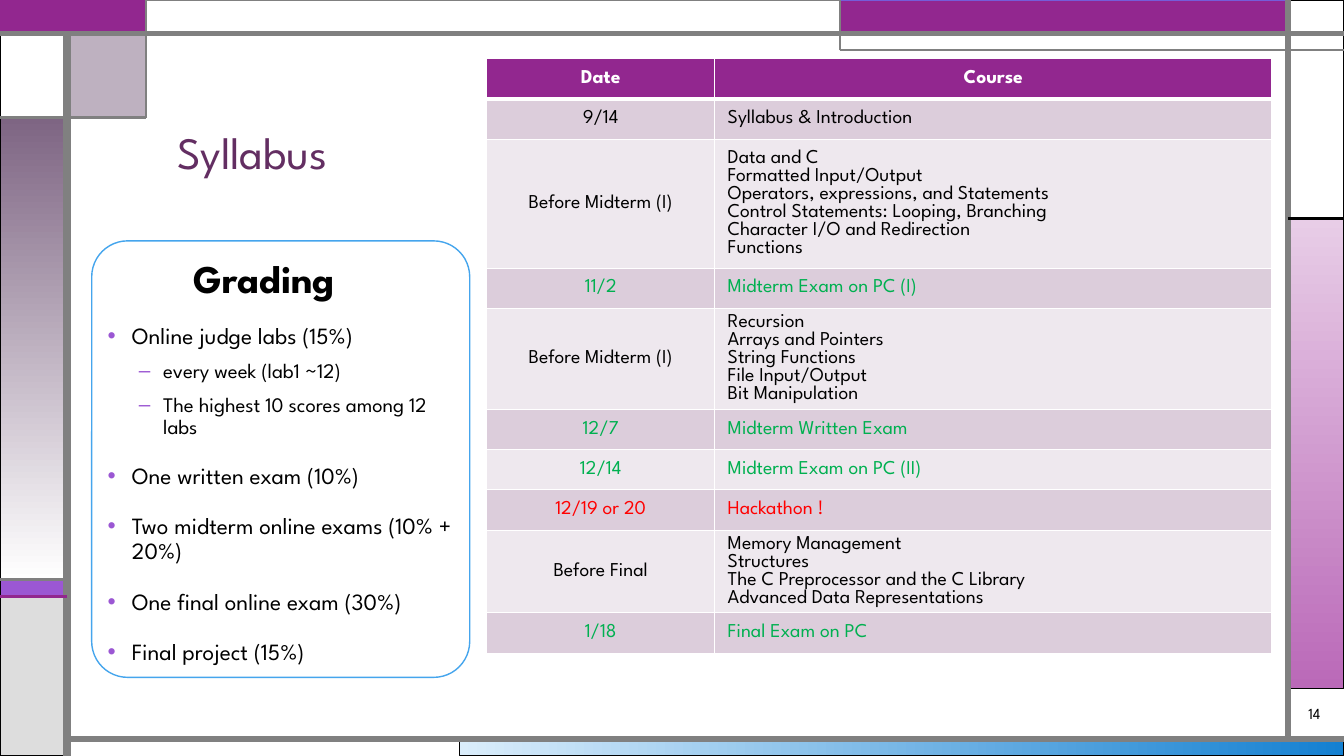
from copy import deepcopy
from lxml import etree
from pptx import Presentation
from pptx import util as u
from pptx.dml.color import RGBColor
from pptx.enum import shapes, text
from pptx.oxml.ns import qn

FONT = "League Spartan"
BLACK = RGBColor(0, 0, 0)
WHITE = RGBColor(255, 255, 255)
GRAY = RGBColor(0x80, 0x80, 0x80)
SILVER = RGBColor(0xDD, 0xDD, 0xDD)
PURPLE = RGBColor(0x92, 0x27, 0x8F)
VIOLET = RGBColor(0x9B, 0x57, 0xD3)
INDIGO = RGBColor(0x75, 0x5D, 0xD9)
MAUVE = RGBColor(0x7E, 0x65, 0x83)
PLUM = RGBColor(0x63, 0x2E, 0x62)
SKY = RGBColor(0x45, 0xA5, 0xED)
ICE = RGBColor(0xDA, 0xED, 0xFB)
BLUE = RGBColor(0x14, 0x80, 0xD1)
PINK = RGBColor(0xE8, 0xCD, 0xE7)
ORCHID = RGBColor(0xBA, 0x69, 0xB8)
DARK = RGBColor(0xDC, 0xCD, 0xDB)
LIGHT = RGBColor(0xEE, 0xE8, 0xEE)
GREEN = RGBColor(0, 0xB0, 0x50)
RED = RGBColor(255, 0, 0)

deck = Presentation()
deck.slide_width, deck.slide_height = u.Inches(40 / 3), u.Inches(7.5)
slide = deck.slides.add_slide(deck.slide_layouts[6])

cols = [deck.slide_width * x // 120 for x in (0, 6, 13, 41, 75, 115, 120)]
rows = [deck.slide_height * y // 90 for y in (0, 4, 6, 14, 26, 69, 71, 82, 88, 90)]


def write(para, words, size, color, bold=False):
    for i, line in enumerate(words.split("\n")):
        if i:
            para.add_line_break()
            para._p[-1].append(deepcopy(run._r.rPr))
        run = para.add_run()
        run.text = line
        run.font.name = FONT
        run.font.size = u.Pt(size)
        run.font.color.rgb = color
        run.font.bold = bold
        for script in ("a:ea", "a:cs"):
            etree.SubElement(run._r.rPr, qn(script), typeface=FONT)


def add_box(left, top, width, height, anchor, wrap=True):
    box = slide.shapes.add_textbox(*[u.Inches(n) for n in (left, top, width, height)])
    frame = box.text_frame
    frame.word_wrap = wrap
    frame.vertical_anchor = anchor
    return frame


panels = [
    (3, 8, 6, 9, (ICE, BLUE), 0, BLACK, 0.75),
    (5, 4, 6, 7, (PINK, ORCHID), 270, BLACK, 0.75),
    (0, 5, 1, 6, VIOLET, 0, BLACK, 0.75),
    (0, 6, 1, 9, SILVER, 0, BLACK, 0.75),
    (5, 0, 6, 4, WHITE, 0, BLACK, 0.75),
    (4, 0, 5, 1, PURPLE, 0, INDIGO, 0.75),
    (1, 1, 2, 3, MAUVE, 0, BLACK, 0.75),
    (0, 3, 1, 5, (MAUVE, WHITE), 270, BLACK, 0.75),
    (0, 1, 1, 3, WHITE, 0, BLACK, 0.75),
    (0, 0, 2, 1, PURPLE, 0, PURPLE, 1.5),
    (2, 0, 4, 1, WHITE, 0, GRAY, 0.75),
]
for c, r, c2, r2, fill, angle, edge, width in panels:
    panel = slide.shapes.add_shape(shapes.MSO_SHAPE.RECTANGLE, cols[c], rows[r],
                                   cols[c2] - cols[c], rows[r2] - rows[r])
    panel.shadow.inherit = False
    if isinstance(fill, RGBColor):
        panel.fill.solid()
        panel.fill.fore_color.rgb = fill
    else:
        panel.fill.gradient()
        panel.fill.gradient_angle = angle
        for stop, color in zip(panel.fill.gradient_stops, fill):
            stop.color.rgb = color
    if fill == MAUVE:
        tint = panel._element.spPr.find(qn("a:solidFill"))[0]
        etree.SubElement(tint, qn("a:alpha"), val="50000")
    panel.line.color.rgb = edge
    panel.line.width = u.Pt(width)

rules = [
    (1, 9, 1, 1, GRAY, 6), (1, 8, 6, 8, GRAY, 4.5), (5, 8, 5, 0, GRAY, 4.5),
    (0, 1, 6, 1, GRAY, 3), (6, 2, 4, 2, GRAY, 1.5), (4, 2, 4, 0, GRAY, 1.5),
    (5, 4, 6, 4, BLACK, 2.25), (2, 0, 2, 3, GRAY, 1.5), (2, 3, 0, 3, GRAY, 2.25),
    (1, 5, 0, 5, GRAY, 2.25), (1, 6, 0, 6, PURPLE, 2.25),
]
for c, r, c2, r2, color, width in rules:
    rule = slide.shapes.add_connector(shapes.MSO_CONNECTOR.STRAIGHT,
                                      cols[c], rows[r], cols[c2], rows[r2])
    rule.line.color.rgb = color
    rule.line.width = u.Pt(width)
    etree.SubElement(rule._element.spPr, qn("a:effectLst"))

card = slide.shapes.add_shape(shapes.MSO_SHAPE.ROUNDED_RECTANGLE, u.Inches(0.91),
                              u.Inches(2.39), u.Inches(3.75), u.Inches(4.33))
card.adjustments[0] = 0.095
card.shadow.inherit = False
card.fill.solid()
card.fill.fore_color.rgb = WHITE
card.line.color.rgb = SKY
card.line.width = u.Pt(1)

title = add_box(1.66, 0.58, 10.5, 1.25, text.MSO_ANCHOR.BOTTOM).paragraphs[0]
title.line_spacing = 0.9
write(title, "Syllabus", 32, PLUM)

plan = [
    (0.4, WHITE, "Date", ["Course"]),
    (0.4, BLACK, "9/14", ["Syllabus & Introduction"]),
    (1.28, BLACK, "Before Midterm (I)", [
        "Data and C\nFormatted Input/Output", "Operators, expressions, and Statements",
        "Control Statements: Looping, Branching", "Character I/O and Redirection",
        "Functions"]),
    (0.4, GREEN, "11/2", ["Midterm Exam on PC (I)"]),
    (1, BLACK, "Before Midterm (I)", [
        "Recursion", "Arrays and Pointers",
        "String Functions\nFile Input/Output\nBit Manipulation"]),
    (0.4, GREEN, "12/7", ["Midterm Written Exam"]),
    (0.4, GREEN, "12/14", ["Midterm Exam on PC (II)"]),
    (0.4, RED, "12/19 or 20", ["Hackathon !"]),
    (0.82, BLACK, "Before Final", [
        "Memory Management\nStructures\nThe C Preprocessor and the C Library\n"
        "Advanced Data Representations"]),
    (0.4, GREEN, "1/18", ["Final Exam on PC"]),
]
table = slide.shapes.add_table(len(plan), 2, u.Inches(4.83), u.Inches(0.58), u.Inches(7.79),
                               u.Inches(sum(item[0] for item in plan))).table
table.columns[0].width, table.columns[1].width = u.Inches(2.26), u.Inches(5.53)
for r, (height, color, date, topics) in enumerate(plan):
    table.rows[r].height = u.Inches(height)
    for c, paras in enumerate(([date], topics)):
        cell = table.cell(r, c)
        cell.vertical_anchor = text.MSO_ANCHOR.MIDDLE
        cell.margin_left = cell.margin_right = u.Inches(0.13)
        cell.margin_top = cell.margin_bottom = u.Inches(0.05)
        for side in "LRTB":
            thick = (r, side) in ((0, "B"), (1, "T"))
            edge = etree.SubElement(cell._tc.get_or_add_tcPr(), qn("a:ln" + side),
                                    w=str(u.Pt(3 if thick else 1)))
            paint = etree.SubElement(edge, qn("a:solidFill"))
            etree.SubElement(paint, qn("a:srgbClr"), val=str(WHITE))
        cell.fill.solid()
        cell.fill.fore_color.rgb = PURPLE if r == 0 else DARK if r % 2 else LIGHT
        for i, words in enumerate(paras):
            para = cell.text_frame.add_paragraph() if i else cell.text_frame.paragraphs[0]
            centred = r == 0 or c == 0
            para.alignment = text.PP_ALIGN.CENTER if centred else text.PP_ALIGN.LEFT
            para.line_spacing = u.Pt(12.9)
            write(para, words, 14, color, r == 0)

page = add_box(12.75, 6.91, 0.58, 0.34, text.MSO_ANCHOR.MIDDLE).paragraphs[0]
page.alignment = text.PP_ALIGN.CENTER
write(page, "14", 11, BLACK)

items = [
    (0, "Online judge labs (15%)"),
    (1, "every week (lab1 ~12)"),
    (1, "The highest 10 scores among 12 labs"),
    (0, "One written exam (10%)"),
    (0, "Two midterm online exams (10% + 20%)"),
    (0, "One final online exam (30%)"),
    (0, "Final project (15%)"),
]
styles = [(0.24, 18, "•", 16.65), (0.55, 8, "–", 14.8)]
body = add_box(0.97, 3.17, 3.75, 3.58, text.MSO_ANCHOR.TOP)
for i, (level, words) in enumerate(items):
    indent, gap, mark, size = styles[level]
    para = body.add_paragraph() if i else body.paragraphs[0]
    para.level = level
    para.line_spacing = 0.9
    para.space_before = u.Pt(gap if i else 0)
    props = para._p.get_or_add_pPr()
    props.set("marL", str(u.Inches(indent)))
    props.set("indent", str(u.Inches(-0.24)))
    tint = etree.SubElement(props, qn("a:buClr"))
    etree.SubElement(tint, qn("a:srgbClr"), val=str(VIOLET))
    etree.SubElement(props, qn("a:buFont"), typeface="Arial")
    etree.SubElement(props, qn("a:buChar"), char=mark)
    write(para, words, size, BLACK)

head = add_box(1.82, 2.47, 1.78, 0.57, text.MSO_ANCHOR.TOP, False)
head.auto_size = text.MSO_AUTO_SIZE.SHAPE_TO_FIT_TEXT
write(head.paragraphs[0], "Grading", 28, BLACK, True)

deck.save("out.pptx")
